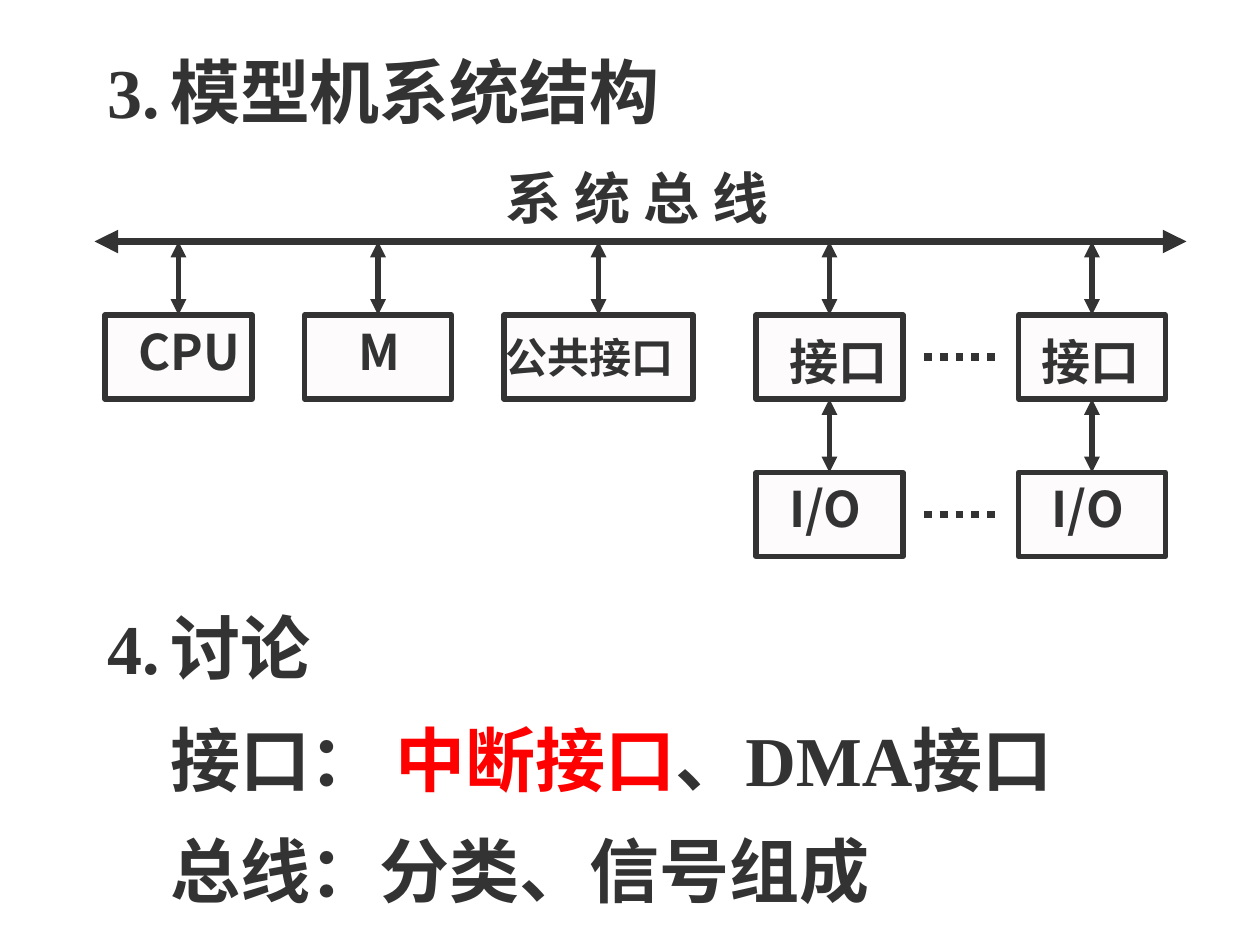
from lxml.etree import SubElement
from pptx import Presentation
from pptx.dml.color import RGBColor
from pptx.enum.dml import MSO_LINE
from pptx.enum.shapes import MSO_CONNECTOR, MSO_SHAPE
from pptx.enum.text import MSO_ANCHOR, MSO_AUTO_SIZE, PP_ALIGN
from pptx.oxml.ns import qn
from pptx.util import Pt

INK = RGBColor(0x33, 0x33, 0x33)
PAPER = RGBColor(0xFD, 0xFB, 0xFB)
RED = RGBColor(0xFF, 0x00, 0x00)
SERIF = "Times New Roman"
SANS = "Noto Sans CJK SC"
BUS_TOP, BOX_TOP, DEVICE_TOP = 138, 180, 270
BOX_HEIGHT = 48
NUMBER_TAB = 59


def add_text(paragraph, text, size=40, font=SERIF, color=INK):
    """Add a bold run in the given format."""
    run = paragraph.add_run()
    run.text = text
    run.font.size = Pt(size)
    run.font.bold = True
    run.font.name = font
    run.font.color.rgb = color
    SubElement(run.font._element, qn("a:ea")).set("typeface", SANS)


class SlideBuilder:
    """Hold the diagram style and the current slide."""

    def __init__(self, slide):
        self.slide = slide

    def place(self, shape, left, top, width, height):
        """Move a text shape and return its left-aligned, top-anchored frame."""
        shape.left, shape.top, shape.width, shape.height = map(Pt, (left, top, width, height))
        frame = shape.text_frame
        frame.word_wrap = True
        frame.auto_size = MSO_AUTO_SIZE.NONE
        frame.vertical_anchor = MSO_ANCHOR.TOP
        return frame

    def format(self, paragraph, indent=0, tab=None, before=0, spacing=1.0):
        """Set indent, tab stop and spacing of an unbulleted paragraph."""
        paragraph.alignment = PP_ALIGN.LEFT
        paragraph.space_before = Pt(before)
        paragraph.line_spacing = spacing
        properties = paragraph._p.get_or_add_pPr()
        properties.set("marL", str(Pt(indent)))
        properties.set("indent", "0")
        SubElement(properties, qn("a:buNone"))
        if tab:
            tabs = SubElement(properties, qn("a:tabLst"))
            SubElement(tabs, qn("a:tab"), pos=str(Pt(tab)), algn="l")

    def label(self, text, left, top, width, height, size, font=SANS):
        """Add a text box with one line."""
        shape = self.slide.shapes.add_textbox(0, 0, 0, 0)
        paragraph = self.place(shape, left, top, width, height).paragraphs[0]
        self.format(paragraph)
        add_text(paragraph, text, size, font)

    def box(self, left, top, width):
        """Add a framed block."""
        shape = self.slide.shapes.add_shape(
            MSO_SHAPE.RECTANGLE, Pt(left), Pt(top), Pt(width), Pt(BOX_HEIGHT))
        shape.shadow.inherit = False
        shape.fill.solid()
        shape.fill.fore_color.rgb = PAPER
        shape.line.color.rgb = INK
        shape.line.width = Pt(3)

    def line(self, start, end, width=3, dotted=False):
        """Add a dotted line or a double-headed arrow."""
        connector = self.slide.shapes.add_connector(
            MSO_CONNECTOR.STRAIGHT, *map(Pt, (*start, *end)))
        connector.line.color.rgb = INK
        connector.line.width = Pt(width)
        if dotted:
            connector.line.dash_style = MSO_LINE.ROUND_DOT
        else:
            for end_name in ("a:headEnd", "a:tailEnd"):
                SubElement(connector.line._get_or_add_ln(), qn(end_name), type="triangle")
        SubElement(connector._element.spPr, qn("a:effectLst"))


def main():
    """Build the system structure slide."""
    presentation = Presentation()
    presentation.slide_width, presentation.slide_height = Pt(720), Pt(540)
    slide = presentation.slides.add_slide(presentation.slide_layouts[1])
    builder = SlideBuilder(slide)

    title = builder.place(slide.shapes.title, 54, 24, 498, 55.5).paragraphs[0]
    builder.format(title, tab=NUMBER_TAB)
    add_text(title, "3.\t模型机系统结构")

    builder.label("系 统 总 线", 282, 90, 174, 46, 32, SERIF)
    builder.line((54, BUS_TOP), (678, BUS_TOP), 4.5)

    blocks = [
        ("CPU", 60, BOX_TOP, 84, 102, 72, 0, 78, 28),
        ("M", 174, BOX_TOP, 84, 216, 198, 0, 54, 28),
        ("公共接口", 288, BOX_TOP, 108, 342, 282, 6, 120, 24),
        ("接口", 432, BOX_TOP, 84, 474, 444, 6, 78, 28),
        ("接口", 582, BOX_TOP, 84, 624, 588, 6, 78, 28),
        ("I/O", 432, DEVICE_TOP, 84, 474, 444, 0, 78, 28),
        ("I/O", 582, DEVICE_TOP, 84, 624, 594, 0, 78, 28),
    ]
    for text, left, top, width, arrow, label_left, drop, label_width, size in blocks:
        builder.box(left, top, width)
        builder.label(text, label_left, top + drop, label_width, 41, size)
        start = BUS_TOP if top == BOX_TOP else BOX_TOP + BOX_HEIGHT
        builder.line((arrow, start), (arrow, top))
    for top in (BOX_TOP, DEVICE_TOP):
        middle = top + BOX_HEIGHT / 2
        builder.line((528, middle), (570, middle), 4.5, dotted=True)

    body = builder.place(slide.placeholders[1], 54, 342, 666, 182)
    heading = body.paragraphs[0]
    builder.format(heading, tab=NUMBER_TAB)
    add_text(heading, "4.\t讨论")
    interfaces, buses = body.add_paragraph(), body.add_paragraph()
    for paragraph in (interfaces, buses):
        builder.format(paragraph, indent=36, before=25, spacing=0.8)
    add_text(interfaces, "接口： ")
    add_text(interfaces, "中断接口", color=RED)
    add_text(interfaces, "、DMA接口")
    add_text(buses, "总线：分类、信号组成")

    presentation.save("out.pptx")


if __name__ == "__main__":
    main()
